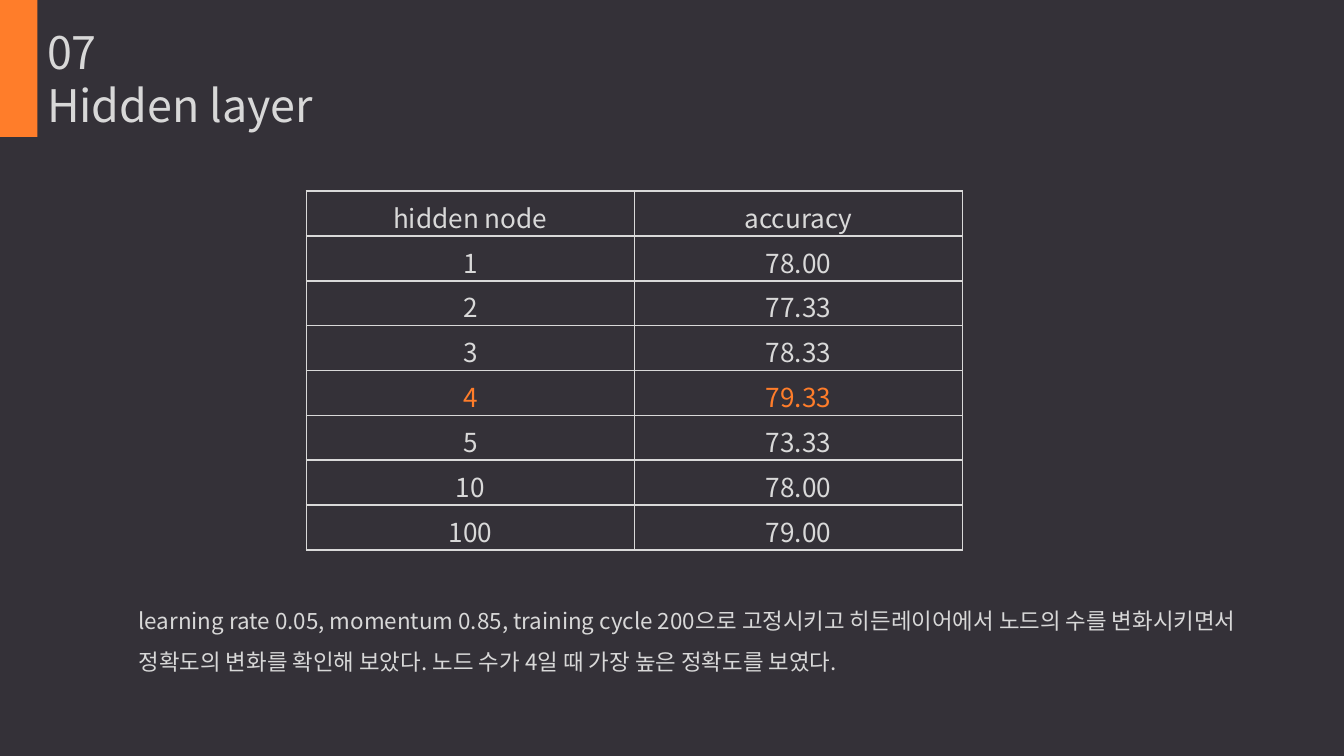
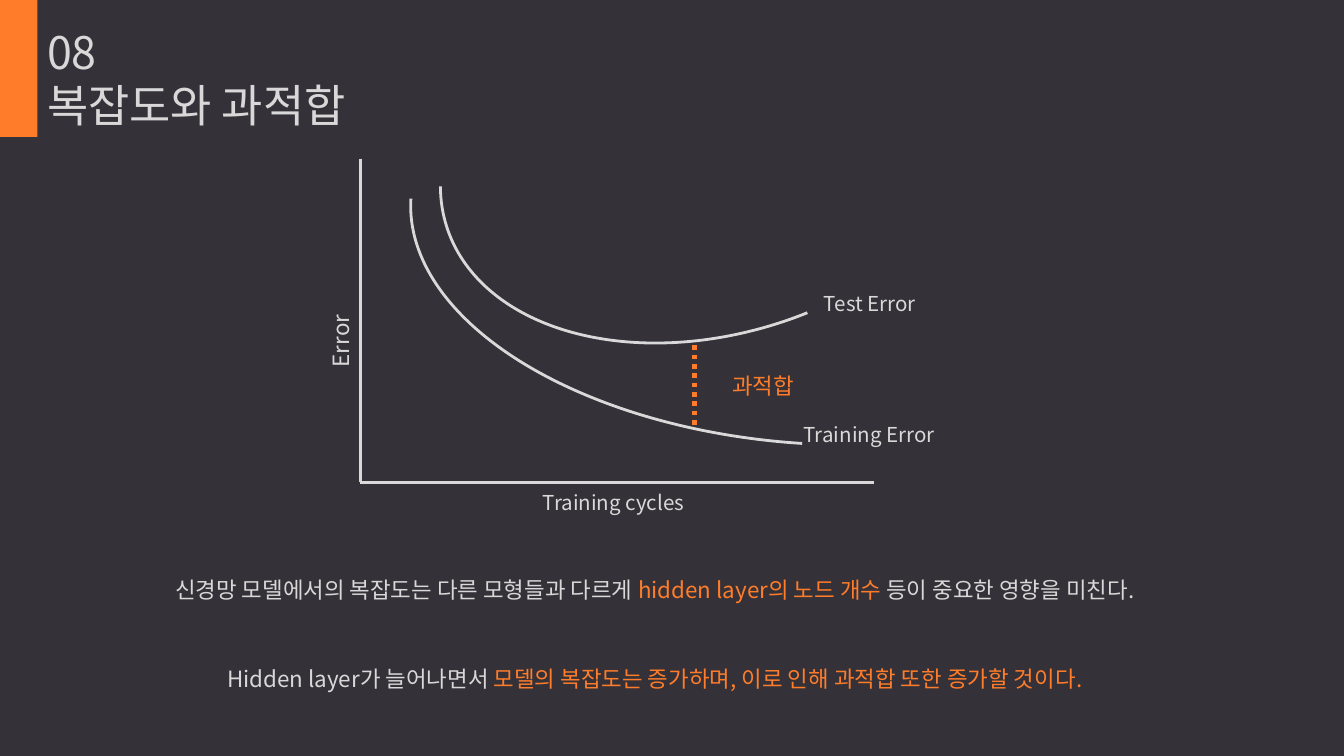
from dataclasses import dataclass
from itertools import product

from lxml import etree
from pptx import Presentation
from pptx.dml.color import RGBColor
from pptx.enum.dml import MSO_LINE
from pptx.enum.shapes import MSO_CONNECTOR, MSO_SHAPE
from pptx.enum.text import MSO_AUTO_SIZE, PP_ALIGN
from pptx.oxml.ns import qn
from pptx.util import Cm, Pt

LEFT, CENTER = PP_ALIGN.LEFT, PP_ALIGN.CENTER
FIT, GROW = MSO_AUTO_SIZE.TEXT_TO_FIT_SHAPE, MSO_AUTO_SIZE.SHAPE_TO_FIT_TEXT
RECT, ARC = MSO_SHAPE.RECTANGLE, MSO_SHAPE.ARC
STRAIGHT = MSO_CONNECTOR.STRAIGHT
DOTS = MSO_LINE.ROUND_DOT


@dataclass(frozen=True)
class Theme:
    back: str = "343138"
    text: str = "D8D8D8"
    line: str = "D9D9D9"
    accent: str = "FF7D2A"
    font: str = "Noto Sans CJK KR"
    title: int = 24
    cell: int = 14
    body: int = 12
    label: int = 11
    thin: float = 1
    curve: float = 1.5
    gap: float = 2.5


THEME = Theme()
TIGHT = (0.18, 0.1)
WIDE = (0.25, 0.13)
TAB = (2.79, 0.13)

RESULTS = [
    ("hidden node", "accuracy"),
    ("1", "78.00"),
    ("2", "77.33"),
    ("3", "78.33"),
    ("4", "79.33"),
    ("5", "73.33"),
    ("10", "78.00"),
    ("100", "79.00"),
]
BEST = 4


def rgb(color):
    return RGBColor.from_string(color)


def write(frame, paras, size=THEME.body, color=THEME.text, align=LEFT,
          space=None, before=0):
    for i, runs in enumerate(paras):
        para = frame.paragraphs[0] if i == 0 else frame.add_paragraph()
        para.alignment = align
        if space:
            para.line_spacing = space
        if i and before:
            para.space_before = Pt(before)
        for part in [runs] if isinstance(runs, str) else runs:
            words, tint = (part, color) if isinstance(part, str) else part
            run = para.add_run()
            run.text = words
            run.font.size = Pt(size)
            run.font.name = THEME.font
            run.font.color.rgb = rgb(tint)
            east = etree.SubElement(run.font._element, qn("a:ea"))
            east.set("typeface", THEME.font)


def add_text(slide, box, paras, inset=TIGHT, fit=None, turn=0, **style):
    shape = slide.shapes.add_textbox(*map(Cm, box))
    shape.rotation = turn
    frame = shape.text_frame
    frame.word_wrap = True
    if fit is not None:
        frame.auto_size = fit
    frame.margin_left = Cm(inset[0])
    frame.margin_right = Cm(min(inset[0], WIDE[0]))
    frame.margin_top = frame.margin_bottom = Cm(inset[1])
    write(frame, paras, **style)


def add_label(slide, box, words, inset=TAB, **style):
    add_text(slide, box, [words], inset=inset, fit=GROW,
             **{"color": THEME.line, **style})


def add_body(slide, box, paras, **style):
    add_text(slide, box, paras, fit=FIT, space=1.5, **style)


def add_line(slide, start, end, color=THEME.line, width=THEME.curve, dash=None):
    line = slide.shapes.add_connector(STRAIGHT, *map(Cm, start + end))
    line.line.color.rgb = rgb(color)
    line.line.width = Pt(width)
    if dash:
        line.line.dash_style = dash
    etree.SubElement(line._element.spPr, qn("a:effectLst"))


def add_arc(slide, box, turn, span=None):
    arc = slide.shapes.add_shape(ARC, *map(Cm, box))
    arc.shadow.inherit = False
    arc.fill.background()
    arc.line.color.rgb = rgb(THEME.line)
    arc.line.width = Pt(THEME.curve)
    arc.rotation = turn
    if span:
        arc.adjustments[0], arc.adjustments[1] = span


def add_edges(cell):
    props = cell._tc.get_or_add_tcPr()
    for i, side in enumerate(("a:lnL", "a:lnR", "a:lnT", "a:lnB")):
        edge = etree.Element(qn(side), w=str(Pt(THEME.thin)))
        fill = etree.SubElement(edge, qn("a:solidFill"))
        etree.SubElement(fill, qn("a:srgbClr"), val=THEME.line)
        props.insert(i, edge)


def add_grid(slide, left, top, width, height, rows, best):
    count, cols = len(rows), len(rows[0])
    box = (left, top, width * cols, height * count)
    table = slide.shapes.add_table(count, cols, *map(Cm, box)).table
    table.first_row = table.horz_banding = False
    for row, col in product(range(count), range(cols)):
        cell = table.cell(row, col)
        cell.fill.background()
        add_edges(cell)
        write(cell.text_frame, [rows[row][col]], size=THEME.cell, align=CENTER,
              color=THEME.accent if row == best else THEME.line)


def add_page(deck, number, title, width):
    slide = deck.slides.add_slide(deck.slide_layouts[6])
    slide.background.fill.solid()
    slide.background.fill.fore_color.rgb = rgb(THEME.back)
    bar = slide.shapes.add_shape(RECT, 0, 0, Cm(0.71), Cm(2.59))
    bar.shadow.inherit = False
    bar.fill.solid()
    bar.fill.fore_color.rgb = rgb(THEME.accent)
    bar.line.fill.background()
    add_text(slide, (0.71, 1.37, width, 2.03), [title], size=THEME.title)
    add_text(slide, (0.71, 0.36, 3.45, 1.22), [number], size=THEME.title)
    return slide


def add_layer(deck):
    slide = add_page(deck, "07", "Hidden layer", 21.5)
    add_body(slide, (2.44, 11.13, 21.64, 1.8), [
        "learning rate 0.05, momentum 0.85, training cycle 200으로 고정시키고 "
        "히든레이어에서 노드의 수를 변화시키면서",
        "정확도의 변화를 확인해 보았다. 노드 수가 4일 때 가장 높은 정확도를 보였다.",
    ])
    add_grid(slide, 5.79, 3.61, 6.2, 0.71, RESULTS, BEST)


def add_error(deck):
    slide = add_page(deck, "08", "복잡도와 과적합", 18.65)
    origin = (6.81, 9.12)
    add_line(slide, (6.81, 3), origin)
    add_line(slide, origin, (16.51, 9.12))
    add_arc(slide, (7.75, 0.08, 15.34, 8.31), 183.6)
    add_arc(slide, (8.18, -1.04, 10.85, 7.32), 162, (156.8, 4.98))
    add_label(slide, (1.78, 4.7, 9.3, 0.76), "Error", turn=270)
    for left, top, words in (
        (7.47, 9.14, "Training cycles"),
        (12.4, 7.85, "Training Error"),
        (12.78, 5.38, "Test Error"),
    ):
        add_label(slide, (left, top, 9.3, 0.74), words, size=THEME.label)
    add_line(slide, (13.13, 6.53), (13.13, 8.05), THEME.accent, THEME.gap, DOTS)
    add_label(slide, (13.59, 6.91, 2.26, 0.76), "과적합", inset=WIDE,
              color=THEME.accent)
    add_body(slide, (2.67, 10.54, 19.41, 2.92), [
        ["신경망 모델에서의 복잡도는 다른 모형들과 다르게 ",
         ("hidden layer의 노드 개수 ", THEME.accent),
         "등이 중요한 영향을 미친다."],
        ["Hidden layer가 늘어나면서 ",
         ("모델의 복잡도는 증가하며, 이로 인해 과적합 또한 증가할 것이다.",
          THEME.accent)],
    ], align=CENTER, before=26)


def main():
    deck = Presentation()
    deck.slide_width, deck.slide_height = Cm(25.4), Cm(14.29)
    add_layer(deck)
    add_error(deck)
    deck.save("out.pptx")


if __name__ == "__main__":
    main()
